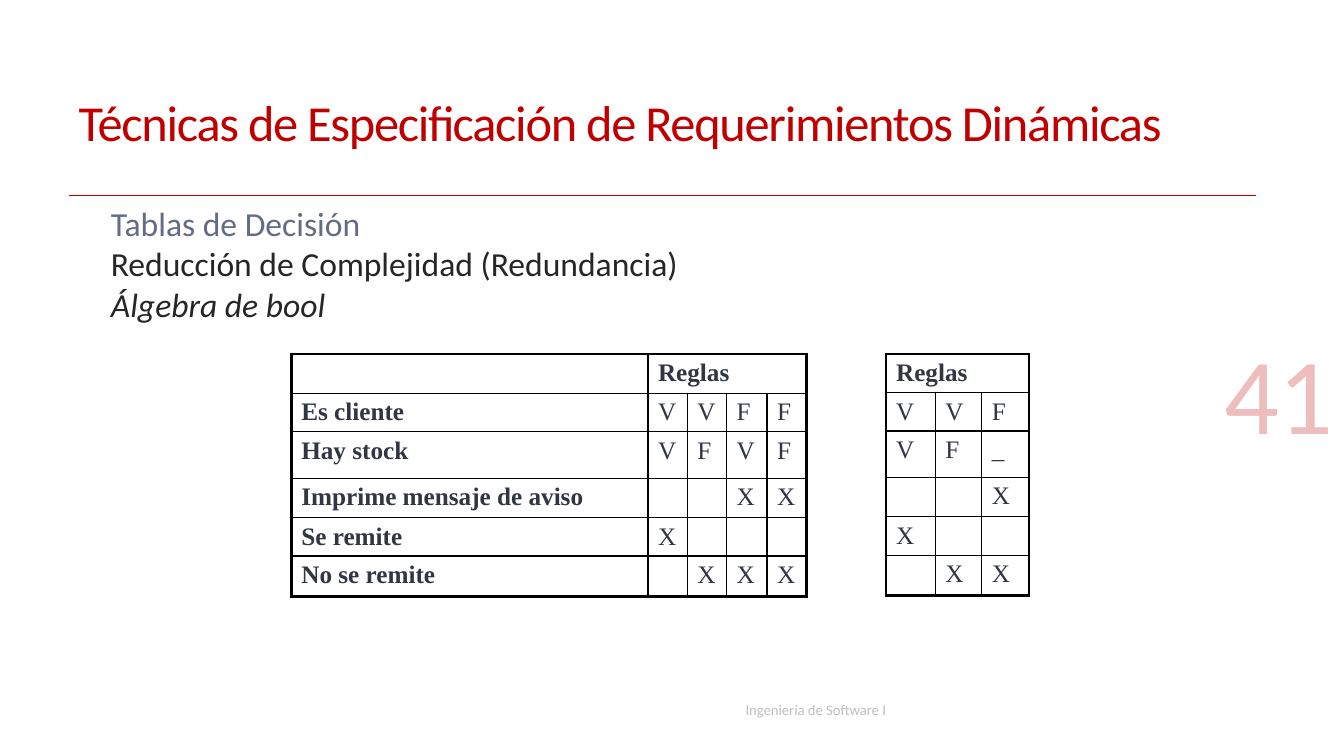
import lxml.etree
import pptx
import pptx.dml.color
import pptx.enum.shapes
import pptx.enum.text
import pptx.oxml.ns
import pptx.util

Cm = pptx.util.Cm
Pt = pptx.util.Pt
ALIGN = pptx.enum.text.PP_ALIGN
ANCHOR = pptx.enum.text.MSO_ANCHOR

COLOURS = {
    "accent": "C00000",
    "topic": "646B86",
    "body": "262626",
    "footer": "BFBFBF",
    "cell": "323643",
    "border": "000000",
}
TITLE = "Técnicas de Especificación de Requerimientos Dinámicas"
TOPICS = [
    ("Tablas de Decisión", "topic", False, 0.18),
    ("Reducción de Complejidad (Redundancia)", "body", False, 0.71),
    ("Álgebra de bool", "body", True, 1.14),
]
FULL_RULES = [
    ["", "Reglas", "", "", ""],
    ["Es cliente", "V", "V", "F", "F"],
    ["Hay stock", "V", "F", "V", "F"],
    ["Imprime mensaje de aviso", "", "", "X", "X"],
    ["Se remite", "X", "", "", ""],
    ["No se remite", "", "X", "X", "X"],
]
REDUCED_RULES = [
    ["Reglas", "", ""],
    ["V", "V", "F"],
    ["V", "F", "_"],
    ["", "", "X"],
    ["X", "", ""],
    ["", "X", "X"],
]
RULE_HEIGHTS = [0.97, 1.17, 0.99, 0.97, 1.02]


def sub(parent, tag, **attributes):
    """Append a DrawingML element and return it."""
    return lxml.etree.SubElement(parent, pptx.oxml.ns.qn(tag), attributes)


def write(paragraph, text, size, colour, font="Calibri", bold=False, italic=False,
          align=ALIGN.LEFT, line=None, before=None, tracking=None, alpha=None):
    """Fill a paragraph with one formatted run."""
    paragraph.alignment = align
    if line:
        paragraph.line_spacing = line
    if before is not None:
        paragraph.space_before = Pt(before)
    run = paragraph.add_run()
    run.text = text
    run.font.size, run.font.name = Pt(size), font
    run.font.bold, run.font.italic = bold, italic
    run.font.color.rgb = pptx.dml.color.RGBColor.from_string(COLOURS[colour])
    properties = run.font._element
    if tracking:
        properties.set("spc", str(tracking))
    if alpha:
        rgb = properties.find(".//" + pptx.oxml.ns.qn("a:srgbClr"))
        sub(rgb, "a:alpha", val=str(alpha * 1000))


def place(shape, box, anchor):
    """Move a text shape into its box and return its text frame."""
    shape.left, shape.top, shape.width, shape.height = (Cm(length) for length in box)
    frame = shape.text_frame
    frame.word_wrap = True
    frame.auto_size = pptx.enum.text.MSO_AUTO_SIZE.NONE
    frame.vertical_anchor = anchor
    return frame


def add_heading(slide, box):
    """Place the title and the rule along its lower edge."""
    left, top, width, height = box
    title = place(slide.shapes.title, box, ANCHOR.MIDDLE)
    write(title.paragraphs[0], TITLE, 36, "accent", line=0.85, tracking=-90)
    bottom = Cm(top + height)
    rule = slide.shapes.add_connector(pptx.enum.shapes.MSO_CONNECTOR.STRAIGHT,
                                      Cm(left), bottom, Cm(left + width - 0.1), bottom)
    rule.line.color.rgb = pptx.dml.color.RGBColor.from_string(COLOURS["accent"])
    rule.line.width = Pt(0.75)
    sub(rule._element.spPr, "a:effectLst")


def add_topics(slide, box):
    """Place the three levels of topics without bullets."""
    frame = place(slide.placeholders[1], box, ANCHOR.TOP)
    for level, (topic, colour, italic, indent) in enumerate(TOPICS):
        paragraph = frame.add_paragraph() if level else frame.paragraphs[0]
        paragraph.level = level
        write(paragraph, topic, 24, colour, italic=italic, line=0.85,
              before=4.5 if level else 9.8)
        properties = paragraph._p.get_or_add_pPr()
        properties.set("marL", str(Cm(indent)))
        properties.set("indent", str(-Cm(indent)))
        sub(properties, "a:buNone")


def add_note(slide, box, text, size, colour, anchor=ANCHOR.TOP, **style):
    """Place a single line of text in a box."""
    note = slide.shapes.add_textbox(*(Cm(length) for length in box))
    write(place(note, box, anchor).paragraphs[0], text, size, colour, **style)


def set_borders(cell, thick_sides):
    """Draw thick borders on the given sides and thin ones elsewhere."""
    properties = cell._tc.get_or_add_tcPr()
    for side in "LRTB":
        width = Pt(2.25 if side in thick_sides else 1)
        border = sub(properties, "a:ln" + side, w=str(width))
        sub(sub(border, "a:solidFill"), "a:srgbClr", val=COLOURS["border"])
    sub(properties, "a:noFill")


def add_decision_table(slide, box, rules, widths, heights, header):
    """Place a decision table whose header spans the rule columns."""
    left, top = box
    last_row, last_column = len(rules) - 1, len(widths) - 1
    table = slide.shapes.add_table(len(rules), len(widths), Cm(left), Cm(top),
                                   Cm(sum(widths)), Cm(sum(heights))).table
    table.first_row = table.horz_banding = False
    for column, width in zip(table.columns, widths):
        column.width = Cm(width)
    for row, height in zip(table.rows, heights):
        row.height = Cm(height)
    table.cell(0, header).merge(table.cell(0, last_column))
    for r, rule in enumerate(rules):
        for c, text in enumerate(rule):
            cell = table.cell(r, c)
            paragraph = cell.text_frame.paragraphs[0]
            if text:
                write(paragraph, text, 18, "cell", font="Times New Roman",
                      bold=len(text) > 1, before=5.8)
            else:
                sub(paragraph._p, "a:endParaRPr", sz="1200")
            edges = {"L": c == 0, "R": c + max(cell.span_width, 1) > last_column,
                     "T": r == 0, "B": r == last_row}
            set_borders(cell, [side for side, outer in edges.items() if outer])


def main():
    """Build the slide and save it."""
    deck = pptx.Presentation()
    deck.slide_width, deck.slide_height = Cm(33.87), Cm(19.05)
    slide = deck.slides.add_slide(deck.slide_layouts[1])
    add_heading(slide, (1.73, 1.4, 30.02, 3.53))
    add_topics(slide, (2.54, 5.13, 18.8, 2.21))
    add_note(slide, (18.54, 17.53, 13.08, 1.02), "Ingeniería de Software I", 10.5, "footer")
    add_note(slide, (25.73, 7.72, 8.13, 3.89), "41", 77.2, "accent",
             anchor=ANCHOR.BOTTOM, align=ALIGN.RIGHT, alpha=25)
    add_decision_table(slide, (7.34, 8.92), FULL_RULES,
                       [8.99, 0.99, 0.99, 1.02, 0.99], [0.99] + RULE_HEIGHTS, header=1)
    add_decision_table(slide, (22.33, 8.92), REDUCED_RULES,
                       [1.24, 1.17, 1.19], [0.97] + RULE_HEIGHTS, header=0)
    deck.save("out.pptx")


if __name__ == "__main__":
    main()
